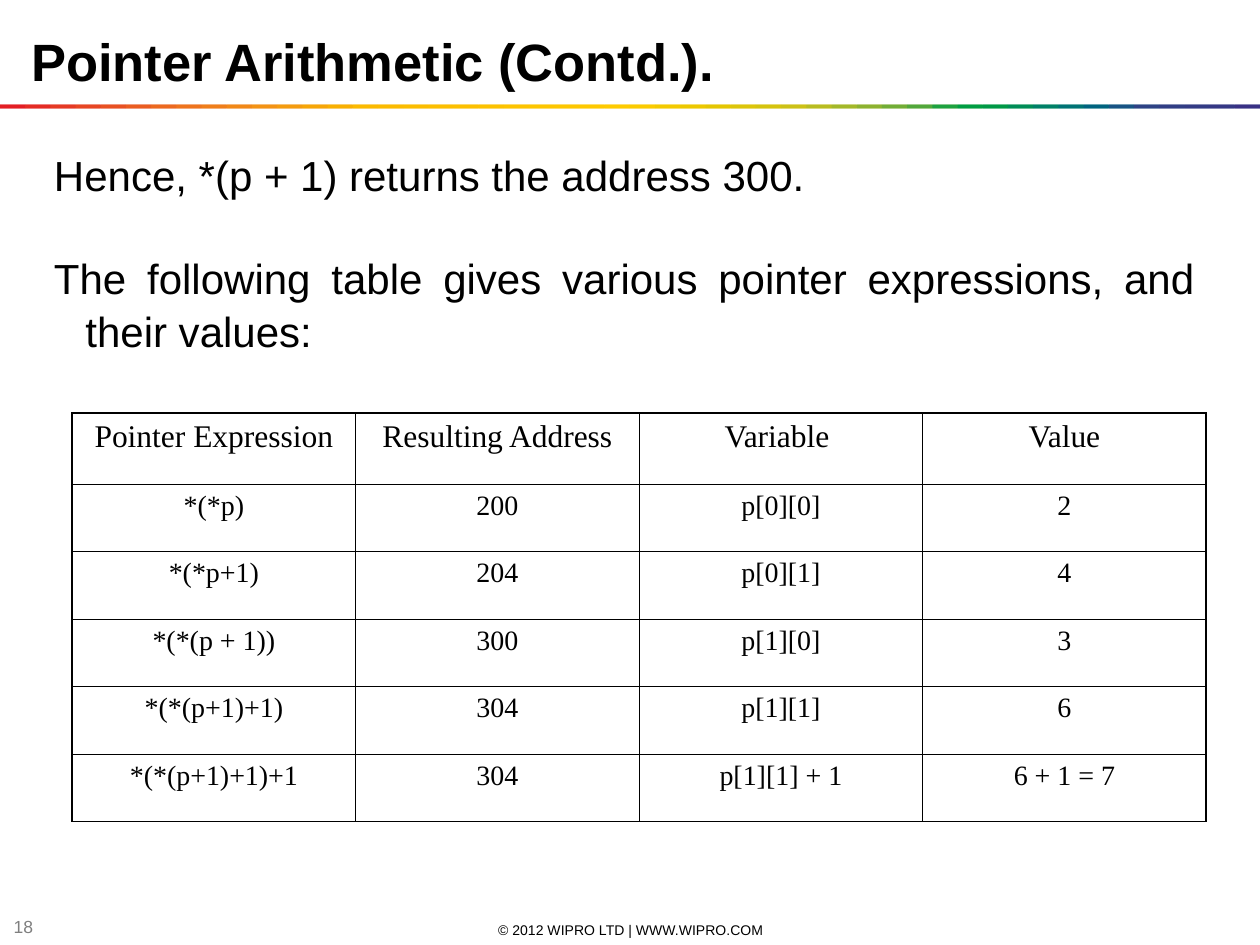
from pptx import Presentation
from pptx.dml.color import RGBColor
from pptx.enum.shapes import MSO_SHAPE
from pptx.enum.text import MSO_ANCHOR, PP_ALIGN
from pptx.oxml.xmlchemy import OxmlElement
from pptx.util import Pt

RECT = MSO_SHAPE.RECTANGLE
LEFT, CENTER, JUSTIFY = PP_ALIGN.LEFT, PP_ALIGN.CENTER, PP_ALIGN.JUSTIFY
TOP, MIDDLE, BOTTOM = MSO_ANCHOR.TOP, MSO_ANCHOR.MIDDLE, MSO_ANCHOR.BOTTOM

COLORS = {
    "text": "000000",
    "page_number": "7F7F7F",
    "rainbow": "E31E24 E31E24 E42C24 E53A24 E74623 E85122 EA5D21 EC691F EE741D "
               "EF7E1A F18817 F39314 F49C0F F6A607 F8B002 FBBA00 FBBB00 FBBD00 "
               "FCBF00 FCC000 FCC200 FDC400 FDC600 FDC700 FEC900 FECB00 FBCB00 "
               "F3CA00 ECC800 E4C602 DCC50A D5C30E CCC117 B8BC21 A3B829 8CB230 "
               "71AD36 51A73B 1DA240 009D43 009846 008C57 008068 007275 00637F "
               "185384 2E4285 313E85 333B85 353885 393185",
}
WIDTH, HEIGHT = 720, 540
BAND_STEP = 14.4
THIN, THICK = 0.45, 1.08

ROWS = [
    ("Pointer Expression", "Resulting Address", "Variable ", "Value"),
    ("*(*p)", "200", "p[0][0]", "2"),
    ("*(*p+1)", "204", "p[0][1]", "4"),
    ("*(*(p + 1))", "300", "p[1][0]", "3"),
    ("*(*(p+1)+1)", "304", "p[1][1]", "6"),
    ("*(*(p+1)+1)+1", "304", "p[1][1] + 1", "6 + 1 = 7"),
]


def write(p, text, size, font="Arial", color="text", bold=False, align=LEFT,
          before=0, after=0, spacing=None, hanging=0):
    if hanging:
        pPr = p._p.get_or_add_pPr()
        pPr.set("marL", str(Pt(hanging)))
        pPr.set("indent", str(-Pt(hanging)))
    p.alignment = align
    p.space_before, p.space_after = Pt(before), Pt(after)
    if spacing:
        p.line_spacing = spacing
    r = p.add_run()
    r.text = text
    r.font.size, r.font.name, r.font.bold = Pt(size), font, bold
    r.font.color.rgb = RGBColor.from_string(COLORS[color])


def set_border(cell, side, width):
    """Draw one side (L, R, T or B) of a cell; call in that order, after the fill."""
    ln = OxmlElement(f"a:ln{side}")
    ln.set("w", str(Pt(width)))
    fill = OxmlElement("a:solidFill")
    clr = OxmlElement("a:srgbClr")
    clr.set("val", COLORS["text"])
    fill.append(clr)
    ln.append(fill)
    tcPr = cell._tc.get_or_add_tcPr()
    tcPr.insert("LRTB".index(side), ln)


class Deck:
    def __init__(self):
        self.prs = Presentation()
        self.prs.slide_width, self.prs.slide_height = Pt(WIDTH), Pt(HEIGHT)
        self.s = None

    def new_slide(self):
        self.s = self.prs.slides.add_slide(self.prs.slide_layouts[6])

    def text(self, x, y, w, h, *paragraphs, anchor=TOP, **style):
        sp = self.s.shapes.add_textbox(Pt(x), Pt(y), Pt(w), Pt(h))
        tf = sp.text_frame
        tf.word_wrap = True
        tf.vertical_anchor = anchor
        for i, text in enumerate(paragraphs):
            p = tf.add_paragraph() if i else tf.paragraphs[0]
            write(p, text, **style)
        return tf

    def rect(self, x, y, w, h, color):
        sp = self.s.shapes.add_shape(RECT, Pt(x), Pt(y), Pt(w), Pt(h))
        sp.shadow.inherit = False
        sp.fill.solid()
        sp.fill.fore_color.rgb = RGBColor.from_string(color)
        sp.line.fill.background()

    def rainbow(self, y, h):
        """Overlapping bands, each two steps wide, clipped to the slide edges."""
        for i, color in enumerate(COLORS["rainbow"].split()):
            left = max(0, (i - 1) * BAND_STEP)
            right = min(WIDTH, (i + 1) * BAND_STEP)
            self.rect(left, y, right - left, h, color)

    def table(self, x, y, col_width, head_height, row_height, rows):
        n_rows, n_cols = len(rows), len(rows[0])
        height = head_height + row_height * (n_rows - 1)
        tbl = self.s.shapes.add_table(n_rows, n_cols, Pt(x), Pt(y),
                                      Pt(col_width * n_cols), Pt(height)).table
        tbl.first_row = tbl.horz_banding = False
        for col in tbl.columns:
            col.width = Pt(col_width)
        for i, row in enumerate(rows):
            head = i == 0
            tbl.rows[i].height = Pt(head_height if head else row_height)
            for j, text in enumerate(row):
                cell = tbl.cell(i, j)
                cell.fill.background()
                write(cell.text_frame.paragraphs[0], text, 18 if head else 16,
                      font="Times New Roman", align=CENTER,
                      before=4.5 if head else 4)
                outer = {"L": j == 0, "R": j == n_cols - 1,
                         "T": head, "B": i == n_rows - 1}
                for side, is_outer in outer.items():
                    set_border(cell, side, THICK if is_outer else THIN)


def main():
    deck = Deck()
    deck.new_slide()
    deck.text(246.5, 525.5, 228, 11.5, "© 2012 WIPRO LTD | WWW.WIPRO.COM",
              anchor=MIDDLE, size=8, align=CENTER)
    deck.text(0.7, 523.5, 28, 11.5, "18", anchor=MIDDLE, size=10,
              color="page_number")
    deck.rainbow(59.75, 2.2)
    body = deck.text(23.75, 79.2, 666, 211,
                     "Hence, *(p + 1) returns the address 300.",
                     "The following table gives various pointer expressions, "
                     "and their values:",
                     size=24, align=JUSTIFY, spacing=1.05, hanging=18)
    body.margin_top = Pt(5)
    body.paragraphs[0].space_after = Pt(28.5)
    deck.text(10.8, 12.25, 595.5, 44, "Pointer Arithmetic (Contd.).",
              anchor=BOTTOM, size=30, bold=True)
    deck.table(41.25, 236, 162, 40.6, 38.6, ROWS)
    deck.prs.save("out.pptx")


if __name__ == "__main__":
    main()
